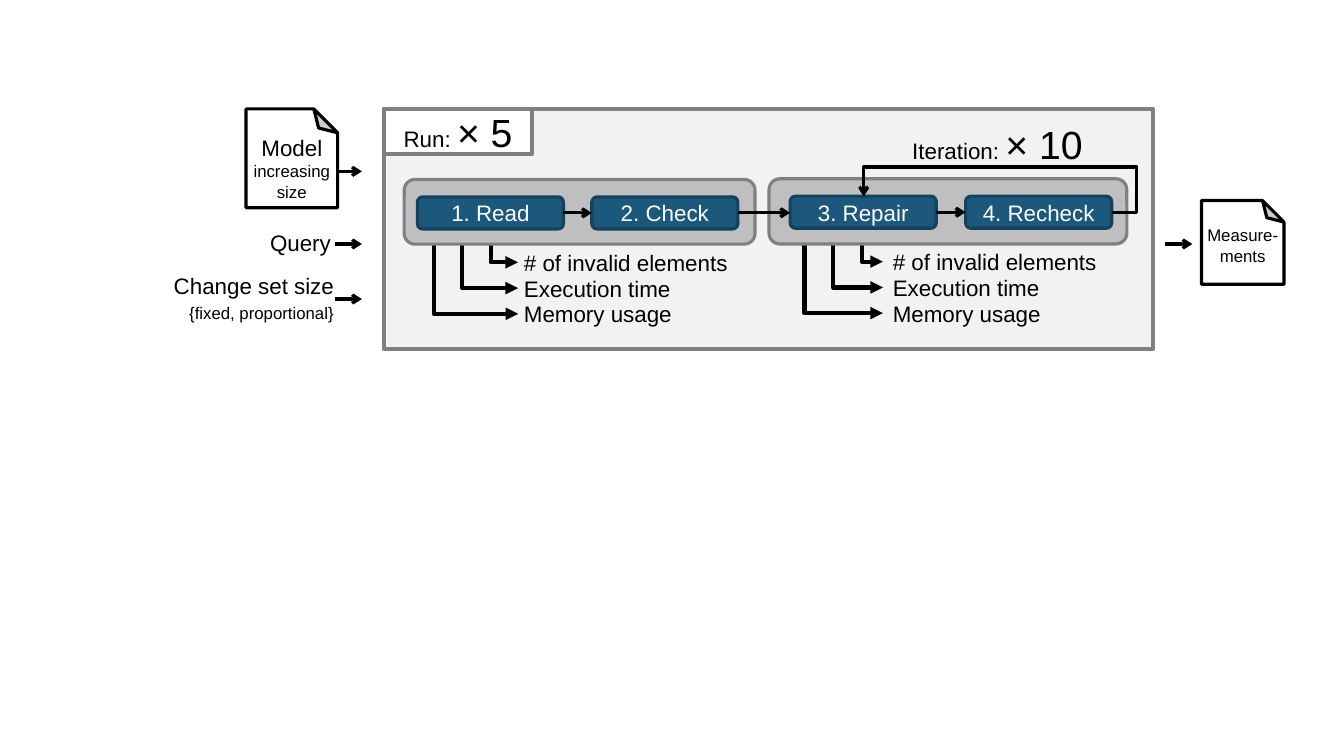
from dataclasses import dataclass

from lxml import etree
from pptx import Presentation
from pptx.dml.color import RGBColor
from pptx.enum.shapes import MSO_CONNECTOR, MSO_SHAPE
from pptx.enum.text import MSO_ANCHOR, PP_ALIGN
from pptx.oxml.ns import qn
from pptx.util import Pt


@dataclass(frozen=True)
class Theme:
    """Hold the colours, font, type sizes and line widths."""
    font: str = "Arial"
    ink: str = "000000"
    paper: str = "FFFFFF"
    panel: str = "F2F2F2"
    group: str = "BFBFBF"
    border: str = "808080"
    step: str = "1B587C"
    step_border: str = "14415C"
    small: int = 12
    body: int = 16
    large: int = 28
    thin: float = 2.25
    thick: float = 3


THEME = Theme()
METRICS = ("# of invalid elements", "Execution time", "Memory usage")
STEP_W, STEP_H = 104.4, 23


def write(shape, paragraphs, color=THEME.ink, align=PP_ALIGN.CENTER, inset=7.2, spacing=None):
    """Fill a shape with paragraphs, each a list of (text, size) runs."""
    frame = shape.text_frame
    frame.word_wrap = True
    frame.vertical_anchor = MSO_ANCHOR.MIDDLE
    frame.margin_left = frame.margin_right = Pt(inset)
    for index, runs in enumerate(paragraphs):
        paragraph = frame.add_paragraph() if index else frame.paragraphs[0]
        paragraph.alignment = align
        if spacing:
            paragraph.line_spacing = Pt(spacing)
        for text, size in runs:
            run = paragraph.add_run()
            run.text = text
            run.font.name, run.font.size = THEME.font, Pt(size)
            run.font.color.rgb = RGBColor.from_string(color)


def add_text(slide, box, paragraphs, **style):
    """Add a text box."""
    write(slide.shapes.add_textbox(*map(Pt, box)), paragraphs, **style)


def add_box(slide, kind, box, fill, line, width=THEME.thin):
    """Add a filled and outlined preset shape."""
    shape = slide.shapes.add_shape(kind, *map(Pt, box))
    shape.shadow.inherit = False
    shape.fill.solid()
    shape.fill.fore_color.rgb = RGBColor.from_string(fill)
    shape.line.color.rgb = RGBColor.from_string(line)
    shape.line.width = Pt(width)
    return shape


def add_arrow(slide, start, end, kind=MSO_CONNECTOR.STRAIGHT, head="arrow", width=THEME.thin):
    """Add a connector with an arrowhead at its end."""
    arrow = slide.shapes.add_connector(kind, *map(Pt, (*start, *end)))
    arrow.line.color.rgb = RGBColor.from_string(THEME.ink)
    arrow.line.width = Pt(width)
    line = arrow._element.spPr.find(qn("a:ln"))
    etree.SubElement(line, qn("a:tailEnd"), type=head)
    etree.SubElement(arrow._element.spPr, qn("a:effectLst"))
    return arrow


def set_geometry(shape, preset, **guides):
    """Give a shape its preset and adjustment guides."""
    geometry = shape._element.spPr.find(qn("a:prstGeom"))
    geometry.set("prst", preset)
    values = geometry.find(qn("a:avLst"))
    for name, value in guides.items():
        etree.SubElement(values, qn("a:gd"), name=name, fmla=f"val {round(value * 100000)}")


def add_drop(slide, x, y, end_x, end_y):
    """Add an arrow that runs down and then right."""
    dx, dy = end_x - x, end_y - y
    mid_x, mid_y = x + dx / 2, y + dy / 2
    arrow = add_arrow(slide, (mid_x + dy / 2, mid_y - dx / 2), (mid_x - dy / 2, mid_y + dx / 2),
                      MSO_CONNECTOR.ELBOW, "triangle", THEME.thick)
    set_geometry(arrow, "bentConnector2")
    arrow._element.spPr.find(qn("a:xfrm")).set("rot", str(270 * 60000))


def draw_group(slide, box, steps, first_x, pitch, drop_x, label_x):
    """Draw two linked steps with the metrics taken from them."""
    left, top, _, height = box
    for row, metric in enumerate(METRICS):
        y = top + 59.2 + 18.4 * row
        add_drop(slide, left + drop_x - 20.4 * row, top + height - 4, left + 81.4, y)
        add_text(slide, (left + label_x, y - 9.4, 172, 18.8), [[(metric, THEME.body)]],
                 align=PP_ALIGN.LEFT)
    add_box(slide, MSO_SHAPE.ROUNDED_RECTANGLE, box, THEME.group, THEME.border)
    step_top = top + 12.4
    for index, name in enumerate(steps):
        step = add_box(slide, MSO_SHAPE.ROUNDED_RECTANGLE,
                       (left + first_x + pitch * index, step_top, STEP_W, STEP_H),
                       THEME.step, THEME.step_border)
        write(step, [[(name, THEME.body)]], THEME.paper, inset=0)
    y = step_top + STEP_H / 2
    add_arrow(slide, (left + first_x + STEP_W, y), (left + first_x + pitch, y))


def draw_run(slide, box):
    """Draw the run panel with its two groups and the iteration loop."""
    left, top, _, _ = box
    panel = add_box(slide, MSO_SHAPE.ROUNDED_RECTANGLE, box, THEME.panel, THEME.border, THEME.thick)
    panel.adjustments[0] = 0
    draw_group(slide, (left + 14.4, top + 50.4, 250.6, 46.2),
               ("1. Read", "2. Check"), 9.4, 124.6, 61.9, 78.5)
    draw_group(slide, (left + 275, top + 49.9, 255.6, 46.6),
               ("3. Repair", "4. Recheck"), 15.1, 125.3, 66.2, 81.4)
    y = top + 74.2
    add_arrow(slide, (left + 252.8, y), (left + 290.1, y))
    start, end = (left + 519.8, y), (left + 342.7, top + 62.6)
    loop = add_arrow(slide, start, end, MSO_CONNECTOR.ELBOW)
    set_geometry(loop, "bentConnector4",
                 adj1=-18 / (start[0] - end[0]), adj2=32.7 / (start[1] - end[1]))
    add_text(slide, (left + 340.6, top + 10.1, 195.1, 30.2),
             [[("Iteration: ", THEME.body), ("× 10", THEME.large)]])
    tab = add_box(slide, MSO_SHAPE.RECTANGLE, (left, top, 105.8, 32.4),
                  THEME.paper, THEME.border, THEME.thick)
    write(tab, [[("Run: ", THEME.body), ("× 5", THEME.large)]])


def draw_document(slide, box, text_top, text_height, paragraphs):
    """Draw a page with a folded top corner and its label."""
    left, top, width, _ = box
    page = add_box(slide, MSO_SHAPE.FOLDED_CORNER, box, THEME.paper, THEME.ink)
    set_geometry(page, "foldedCorner", adj=0.26)
    page._element.spPr.find(qn("a:xfrm")).set("flipV", "1")
    add_text(slide, (left, top + text_top, width, text_height), paragraphs, inset=0)


def draw_inputs(slide, box):
    """Draw the model, query and change set inputs with their arrows."""
    left, top, width, _ = box
    for y in (44.6, 96.5, 135.8):
        add_arrow(slide, (left + width - 19.4, top + y), (left + width, top + y))
    draw_document(slide, (left + 108.7, top, 65.5, 70.6), 23.8, 36.7,
                  [[("Model", THEME.body)], [("increasing size", THEME.small)]])
    style = dict(align=PP_ALIGN.RIGHT, spacing=17)
    add_text(slide, (left, top + 82.8, 176.4, 28.1), [[("Query", THEME.body)]], **style)
    add_text(slide, (left + 2.2, top + 121.7, 176.4, 28.1),
             [[("Change set size", THEME.body)], [("{fixed, proportional}", THEME.small)]], **style)


def draw_output(slide, box):
    """Draw the measurements page and the arrow leading to it."""
    left, top, width, height = box
    add_arrow(slide, (left, top + 31), (left + 19.4, top + 31))
    draw_document(slide, (left + 25.9, top, width - 25.9, height), 18.7, 26.6,
                  [[("Measure-", THEME.small)], [("ments", THEME.small)]])


def main():
    """Build and save the slide."""
    deck = Presentation()
    deck.slide_width, deck.slide_height = Pt(960), Pt(540)
    slide = deck.slides.add_slide(deck.slide_layouts[6])
    draw_run(slide, (274.3, 77.8, 549.4, 171.4))
    draw_inputs(slide, (67, 77.8, 191.5, 149.8))
    draw_output(slide, (832.3, 143.3, 84.9, 59.8))
    deck.save("out.pptx")


main()
